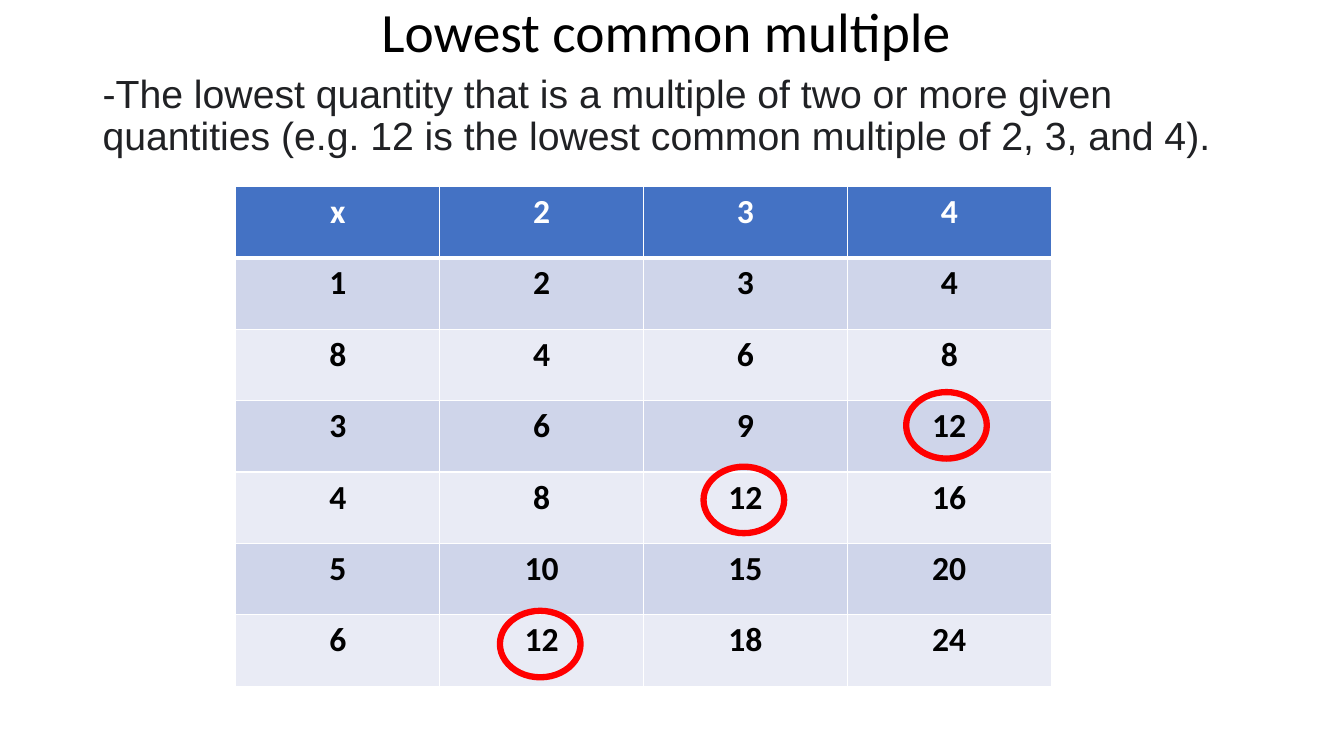
from dataclasses import dataclass
from typing import Any

from lxml.etree import SubElement as Sub
from pptx import Presentation as Deck
from pptx.dml.color import RGBColor as Rgb
from pptx.enum.shapes import MSO_SHAPE as Shape
from pptx.enum.text import MSO_ANCHOR as Anchor, PP_ALIGN as Align
from pptx.oxml.ns import qn
from pptx.util import Pt


@dataclass(frozen=True)
class Theme:
    black: str = "000000"
    ink: str = "202124"
    white: str = "FFFFFF"
    blue: str = "4472C4"
    bands: tuple[str, str] = ("CFD5EA", "E9EBF5")
    red: str = "FF0000"
    title: float = 39.6
    body: float = 28
    cell: float = 24
    sans: str = "Calibri"
    plain: str = "Arial"


@dataclass(frozen=True)
class Label:
    text: str
    top: float
    height: float
    face: str
    size: float
    color: str
    align: Any
    anchor: Any


@dataclass(frozen=True)
class Ring:
    left: float
    top: float


THEME = Theme()
LABELS = (
    Label("Lowest common multiple ", 0, 49.68, THEME.sans, THEME.title,
          THEME.black, Align.CENTER, Anchor.MIDDLE),
    Label("-The lowest quantity that is a multiple of two or more given "
          "quantities (e.g. 12 is the lowest common multiple of 2, 3, and 4).",
          49.68, 342.72, THEME.plain, THEME.body,
          THEME.ink, Align.LEFT, Anchor.TOP),
)
HEAD = ("x", "2", "3", "4")
FIRST = (1, 8, 3, 4, 5, 6)
ROWS = [HEAD] + [
    (str(first), *(str(step * int(base)) for base in HEAD[1:]))
    for step, first in enumerate(FIRST, 1)
]
RINGS = (Ring(357.12, 436.32), Ring(502.56, 333.36), Ring(647.28, 280.08))
COL, ROW = 145.6, 51


def apply(target: Any, values: dict[str, Any]) -> None:
    for name, value in values.items():
        setattr(target, name, value)


def style(para: Any, face: str, size: float, color: str,
          align: Any, bold: bool = False) -> None:
    para.alignment = align
    apply(para.runs[0].font, {"name": face, "size": Pt(size), "bold": bold})
    para.runs[0].font.color.rgb = Rgb.from_string(color)


def add_label(slide: Any, label: Label) -> None:
    box = slide.shapes.add_textbox(
        Pt(66.24), Pt(label.top), Pt(828), Pt(label.height))
    frame = box.text_frame
    apply(frame, {"word_wrap": True, "vertical_anchor": label.anchor})
    para = frame.paragraphs[0]
    para.text = label.text
    para.line_spacing = 0.9
    style(para, label.face, label.size, label.color, label.align)


def add_edges(cell: Any, row: int) -> None:
    props = cell._tc.get_or_add_tcPr()
    thick = {"L": 1, "R": 1, "T": 3 if row == 1 else 1, "B": 1 if row else 3}
    for side, width in thick.items():
        line = Sub(props, qn(f"a:ln{side}"), w=str(Pt(width)))
        fill = Sub(line, qn("a:solidFill"))
        Sub(fill, qn("a:srgbClr"), val=THEME.white)


def add_grid(slide: Any) -> None:
    grid = slide.shapes.add_table(
        len(ROWS), len(HEAD), Pt(168.48), Pt(133.2),
        Pt(COL * len(HEAD)), Pt(ROW * len(ROWS))).table
    for col in grid.columns:
        col.width = Pt(COL)
    for row, words in enumerate(ROWS):
        grid.rows[row].height = Pt(ROW)
        back = THEME.bands[(row - 1) % 2] if row else THEME.blue
        color = THEME.black if row else THEME.white
        for col, word in enumerate(words):
            cell = grid.cell(row, col)
            cell.text = word
            style(cell.text_frame.paragraphs[0], THEME.sans, THEME.cell,
                  color, Align.CENTER, True)
            add_edges(cell, row)
            cell.fill.solid()
            cell.fill.fore_color.rgb = Rgb.from_string(back)


def add_ring(slide: Any, ring: Ring) -> None:
    oval = slide.shapes.add_shape(
        Shape.OVAL, Pt(ring.left), Pt(ring.top), Pt(57.6), Pt(47.52))
    oval.shadow.inherit = False
    oval.fill.background()
    oval.line.color.rgb = Rgb.from_string(THEME.red)
    oval.line.width = Pt(4.5)


def main() -> None:
    deck = Deck()
    apply(deck, {"slide_width": Pt(960), "slide_height": Pt(540)})
    slide = deck.slides.add_slide(deck.slide_layouts[6])
    for label in LABELS:
        add_label(slide, label)
    add_grid(slide)
    for ring in RINGS:
        add_ring(slide, ring)
    deck.save("out.pptx")


if __name__ == "__main__":
    main()
